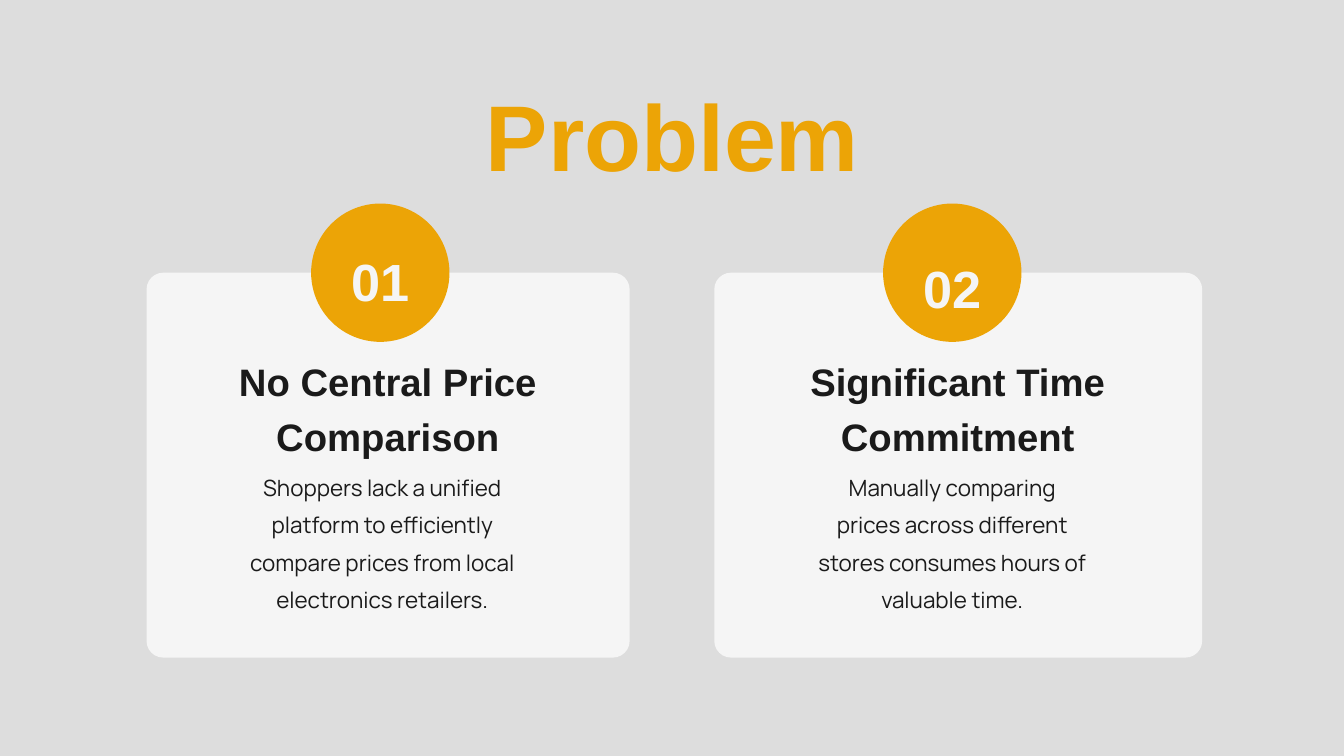
from pptx import Presentation
from pptx.dml.color import RGBColor
from pptx.enum.shapes import MSO_SHAPE
from pptx.enum.text import PP_ALIGN
from pptx.util import Cm, Pt

TITLE = "Problem"
CARDS = [
    {"number": "01", "head": "No Central Price Comparison",
     "body": "Shoppers lack a unified platform to efficiently compare prices "
             "from local electronics retailers.",
     "card": (5.54, 18.26), "badge_x": 11.76, "number_y": 8.94,
     "head_x": 8.48, "body_x": (8.94, 11.02)},
    {"number": "02", "head": "Significant Time Commitment",
     "body": "Manually comparing prices across different stores consumes "
             "hours of valuable time.",
     "card": (27, 18.44), "badge_x": 33.38, "number_y": 9.22,
     "head_x": 30.02, "body_x": (30.91, 10.16)},
]
THEME = {
    "back": "DDDDDD", "card": "F5F5F5", "accent": "ECA406",
    "title": ("Arial", 100, True, "ECA406", 1.0),
    "number": ("Arial", 56, True, "F5F5F5", 1.2),
    "head": ("Arial", 41, True, "1A1A1A", 1.2),
    "body": ("Manrope", 24, False, "1A1A1A", 1.4),
}
CARD_Y, CARD_H, RADIUS = 10.31, 14.55, 0.63
BADGE, NUMBER_W = 5.23, 4.29


def add_shape(s, kind, box, color):
    sp = s.shapes.add_shape(kind, *map(Cm, box))
    sp.shadow.inherit = False
    sp.fill.solid()
    sp.fill.fore_color.rgb = RGBColor.from_string(color)
    sp.line.fill.background()
    return sp


def add_text(s, text, box, style):
    font, size, bold, color, spacing = THEME[style]
    tf = s.shapes.add_textbox(*map(Cm, box)).text_frame
    tf.word_wrap = True
    tf.margin_left = tf.margin_right = tf.margin_top = tf.margin_bottom = 0
    p = tf.paragraphs[0]
    p.alignment = PP_ALIGN.CENTER
    p.line_spacing = spacing
    r = p.add_run()
    r.text = text
    r.font.name, r.font.size, r.font.bold = font, Pt(size), bold
    r.font.color.rgb = RGBColor.from_string(color)


def add_card(s, c):
    x, w = c["card"]
    sp = add_shape(s, MSO_SHAPE.ROUNDED_RECTANGLE, (x, CARD_Y, w, CARD_H), THEME["card"])
    sp.adjustments[0] = RADIUS / CARD_H
    badge_box = (c["badge_x"], CARD_Y - BADGE / 2, BADGE, BADGE)
    add_shape(s, MSO_SHAPE.OVAL, badge_box, THEME["accent"])
    number_x = c["badge_x"] + (BADGE - NUMBER_W) / 2
    body_x, body_w = c["body_x"]
    add_text(s, c["head"], (c["head_x"], 13.18, 12.37, 3.58), "head")
    add_text(s, c["body"], (body_x, 17.5, body_w, 4.67), "body")
    add_text(s, c["number"], (number_x, c["number_y"], NUMBER_W, 2.54), "number")


def main():
    """Build the problem slide with two numbered cards."""
    prs = Presentation()
    prs.slide_width, prs.slide_height = Cm(50.8), Cm(28.58)
    s = prs.slides.add_slide(prs.slide_layouts[6])
    s.background.fill.solid()
    s.background.fill.fore_color.rgb = RGBColor.from_string(THEME["back"])
    for c in reversed(CARDS):
        add_card(s, c)
    add_text(s, TITLE, (6.05, 2.95, 38.74, 3.99), "title")
    prs.save("out.pptx")


if __name__ == "__main__":
    main()
